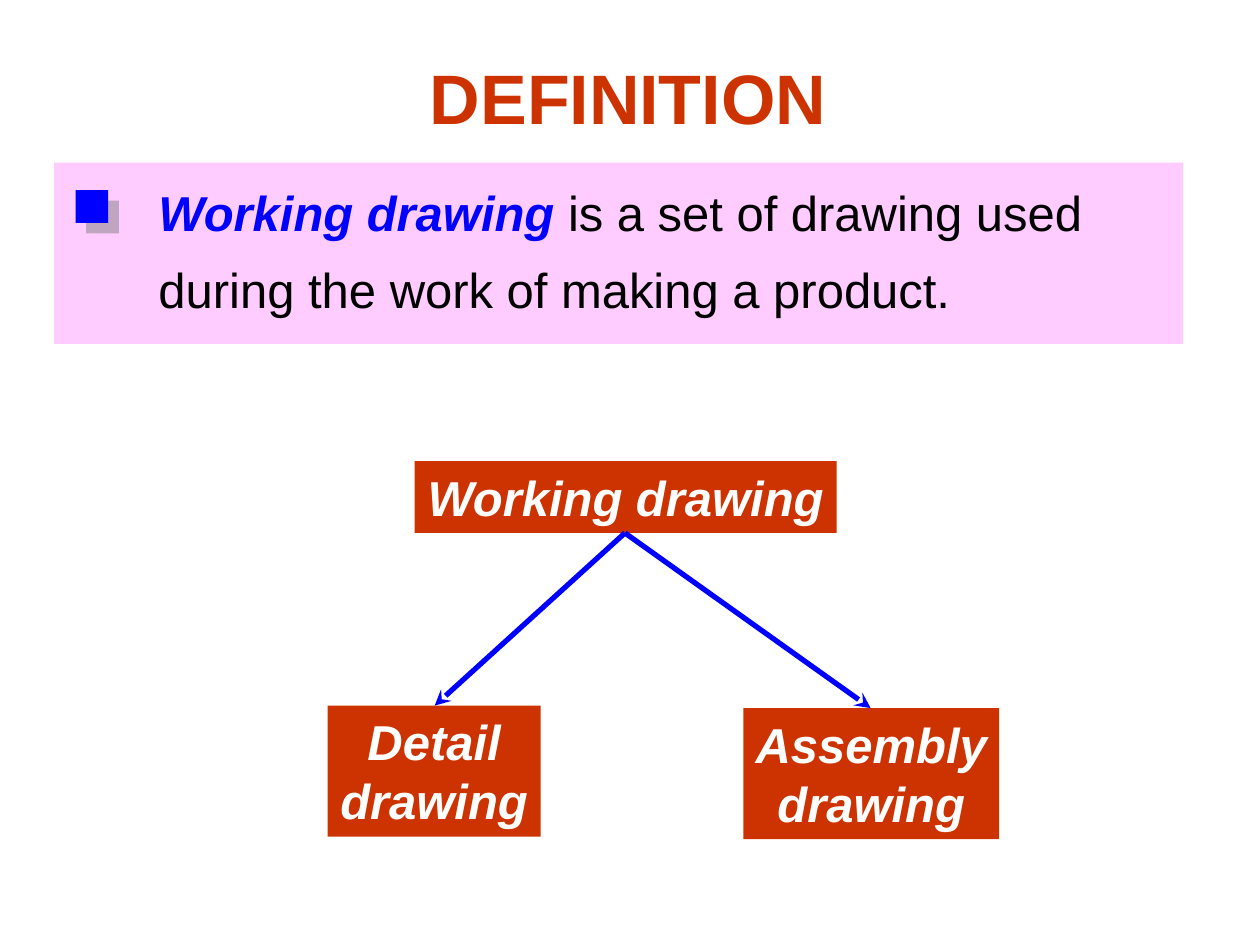
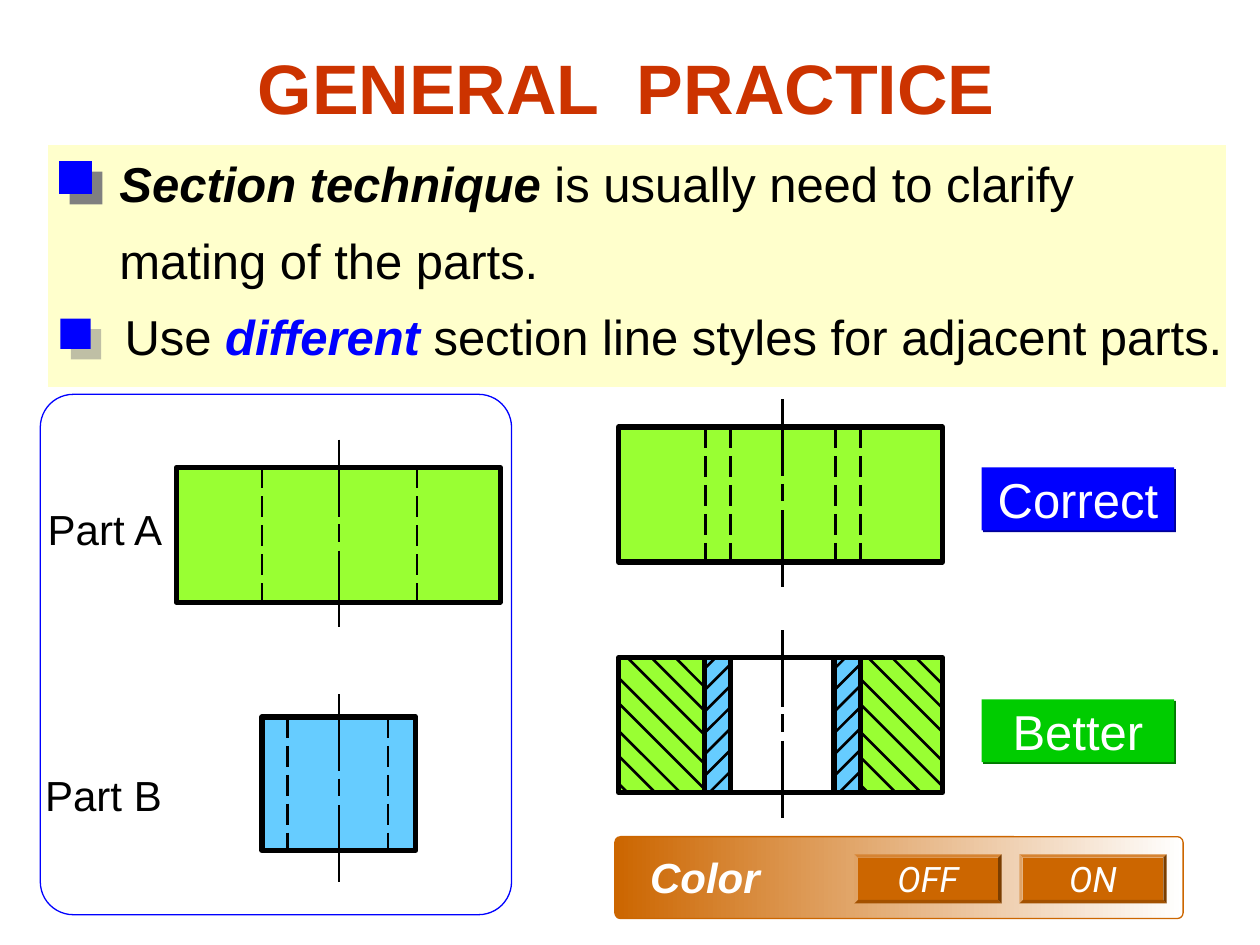
from lxml import etree
from pptx import Presentation
from pptx import util as u
from pptx.dml.color import RGBColor
from pptx.enum import dml, shapes, text
from pptx.oxml.ns import qn

PX = 9144  # EMU per px, 100 px to the inch

RUST = RGBColor(0xCC, 0x33, 0x00)
BLUE = RGBColor(0x00, 0x00, 0xFF)
NAVY = RGBColor(0x00, 0x00, 0x98)
PINK = RGBColor(0xFF, 0xCC, 0xFF)
CREAM = RGBColor(0xFF, 0xFF, 0xCC)
LIME = RGBColor(0x99, 0xFF, 0x33)
SKY = RGBColor(0x66, 0xCC, 0xFF)
GREEN = RGBColor(0x00, 0xCC, 0x00)
DARK_GREEN = RGBColor(0x00, 0x79, 0x00)
ORANGE = RGBColor(0xCC, 0x66, 0x00)
GRAY = RGBColor(0x80, 0x80, 0x80)
BLACK = RGBColor(0x00, 0x00, 0x00)
WHITE = RGBColor(0xFF, 0xFF, 0xFF)

# Text styles
TITLE = dict(name="Arial", size=u.Pt(40), bold=True, color=RUST)
BODY = dict(name="Arial", size=u.Pt(28), bold=False, italic=False, color=BLACK)
TERM = {**BODY, "bold": True, "italic": True}
BLUE_TERM = {**TERM, "color": BLUE}
NODE = {**TERM, "color": WHITE}
VERDICT = {**BODY, "color": WHITE}
PART_NAME = {**BODY, "size": u.Pt(24)}
SWITCH_NAME = {**NODE, "size": u.Pt(24)}
SWITCH = dict(name="Roboto", size=u.Pt(20), italic=True, color=WHITE)

LEFT, CENTER = text.PP_ALIGN.LEFT, text.PP_ALIGN.CENTER
TOP, MIDDLE = text.MSO_ANCHOR.TOP, text.MSO_ANCHOR.MIDDLE
RECT = shapes.MSO_SHAPE.RECTANGLE
ROUNDED = shapes.MSO_SHAPE.ROUNDED_RECTANGLE
BEVEL = shapes.MSO_SHAPE.BEVEL

# Section drawing: hatch offsets along the top edge of a zone
FALLING_HATCH = (45, 26, 7, -16, -36, -58, -78, -100)
RISING_HATCH = range(9, 112, 17)
CENTER_DASHES = ((0, 61), (67, 81), (88, 149))


def emu(*lengths):
    return [round(length * PX) for length in lengths]


def write(shape, lines, align=LEFT, anchor=TOP, spacing=None):
    """Fill a shape with lines, each a list of (words, style) runs."""
    frame = shape.text_frame
    settings = dict(word_wrap=False, auto_size=text.MSO_AUTO_SIZE.NONE, vertical_anchor=anchor)
    for key, value in settings.items():
        setattr(frame, key, value)
    for number, line in enumerate(lines):
        paragraph = frame.add_paragraph() if number else frame.paragraphs[0]
        paragraph.alignment = align
        paragraph.line_spacing = spacing
        for words, style in line:
            run = paragraph.add_run()
            run.text = words
            for key, value in style.items():
                if key == "color":
                    run.font.color.rgb = value
                else:
                    setattr(run.font, key, value)


def add_title_slide(deck, words, box):
    slide = deck.slides.add_slide(deck.slide_layouts[5])
    title = slide.shapes.title
    for key, value in zip(("left", "top", "width", "height"), emu(*box)):
        setattr(title, key, value)
    write(title, [[(words, TITLE)]], CENTER)
    return slide


def add_text(slide, box, lines, **layout):
    write(slide.shapes.add_textbox(*emu(*box)), lines, **layout)


def add_box(slide, box, fill=None, line=None, weight=0.75, kind=RECT, corner=None):
    shape = slide.shapes.add_shape(kind, *emu(*box))
    shape.shadow.inherit = False
    if corner is not None:
        shape.adjustments[0] = corner
    if fill is None:
        shape.fill.background()
    else:
        shape.fill.solid()
        shape.fill.fore_color.rgb = fill
    if line is None:
        shape.line.fill.background()
    else:
        shape.line.color.rgb = line
        shape.line.width = u.Pt(weight)
    return shape


def cast_shadow(shape, color, distance, opacity=100):
    effects = shape._element.spPr.find(qn("a:effectLst"))
    shadow = etree.SubElement(effects, qn("a:outerShdw"), dist=str(u.Pt(distance)),
                              dir="2700000", algn="ctr", rotWithShape="0")
    tint = etree.SubElement(shadow, qn("a:srgbClr"), val=str(color))
    etree.SubElement(tint, qn("a:alpha"), val=str(opacity * 1000))


def add_bullet(slide, left, top, side, opacity):
    bullet = add_box(slide, (left, top, side, side), BLUE)
    cast_shadow(bullet, GRAY, 8.5, opacity)


def add_line(slide, start, end, color=BLACK, weight=1.5, dash=None, arrow=False):
    line = slide.shapes.add_connector(shapes.MSO_CONNECTOR.STRAIGHT, *emu(*start, *end))
    line.line.color.rgb = color
    line.line.width = u.Pt(weight)
    if dash:
        line.line.dash_style = dash
    if arrow:
        etree.SubElement(line.line._get_or_add_ln(), qn("a:tailEnd"), type="stealth")
    etree.SubElement(line._element.spPr, qn("a:effectLst"))


def add_center_line(slide, x, top):
    for start, end in CENTER_DASHES:
        add_line(slide, (x, top + start), (x, top + end))


def add_part(slide, box, fill, hidden_edges, center):
    """Outside view of a part: body, hidden edges and centre line."""
    _, top, _, height = box
    add_box(slide, box, fill, BLACK, 3)
    for x in hidden_edges:
        add_line(slide, (x, top), (x, top + height), dash=dml.MSO_LINE.LONG_DASH)
    add_center_line(slide, *center)


def add_hatch(slide, box, offsets, slope):
    """45° lines clipped to a zone; slope 1 falls to the right, -1 rises."""
    left, top, width, height = box
    for offset in offsets:
        if slope > 0:
            ends = max(0, offset), min(width, height + offset)
        else:
            ends = max(0, offset - height), min(width, offset)
        start, end = [(left + x, top + slope * (x - offset)) for x in ends]
        add_line(slide, start, end)


def add_section(slide, left, top, height):
    """Cut view of the mated parts."""
    add_box(slide, (left, top, 257, height), LIME, BLACK, 3)
    add_box(slide, (left + 68, top, 124, height), SKY, BLACK, 3)
    add_box(slide, (left + 89, top, 82, height), WHITE, BLACK, 3)
    add_center_line(slide, left + 130, top - 22)
    for x in (171, 68):
        add_hatch(slide, (left + x, top, 21, height), RISING_HATCH, -1)
    for x, width in ((0, 68), (191, 66)):
        add_hatch(slide, (left + x, top, width, height), FALLING_HATCH, 1)


def build_definition(deck):
    slide = add_title_slide(deck, "DEFINITION", (193, 38, 611, 77))

    # Definition band
    add_box(slide, (43, 129, 896, 144), PINK)
    add_text(slide, (116, 126, 754, 132), [
        [("Working drawing", BLUE_TERM), (" is a set of drawing used", BODY)],
        [("during the work of making a product.", BODY)],
    ], spacing=1.3)
    add_bullet(slide, 60, 151, 26, 50)

    # Tree of drawing kinds
    tree = (
        ((329, 366, 335, 57), ["Working drawing"]),
        ((260, 560, 169, 104), ["Detail", "drawing"]),
        ((590, 562, 203, 104), ["Assembly", "drawing"]),
    )
    for box, words in tree:
        write(add_box(slide, box, RUST), [[(line, NODE)] for line in words], CENTER)
    for kind in ((345, 560), (691, 562)):
        add_line(slide, (496, 423), kind, BLUE, 3, arrow=True)


def build_practice(deck):
    slide = add_title_slide(deck, "GENERAL  PRACTICE", (194, 30, 606, 77))

    # Rules band
    add_box(slide, (38, 115, 936, 193), CREAM, WHITE)
    add_bullet(slide, 47, 128, 26, 100)
    add_text(slide, (85, 103, 777, 132), [
        [("Section technique", TERM), (" is usually need to clarify", BODY)],
        [("mating of the parts.", BODY)],
    ], spacing=1.3)
    add_bullet(slide, 48, 253, 24, 50)
    add_text(slide, (89, 224, 892, 71), [
        [("Use ", BODY), ("different", BLUE_TERM),
         (" section line styles for adjacent parts.", BODY)],
    ], spacing=1.3)

    # Separate parts
    add_box(slide, (32, 313, 374, 413), line=BLUE, kind=ROUNDED, corner=0.07)
    for name, left, top in (("Part A", 28, 395), ("Part B", 26, 606)):
        add_text(slide, (left, top, 112, 50), [[(name, PART_NAME)]])
    add_part(slide, (140, 371, 257, 107), LIME, (208, 331), (269, 349))
    add_part(slide, (208, 569, 122, 106), SKY, (228, 308), (269, 551))

    # Mated parts, outside and in section
    add_part(slide, (491, 339, 257, 107), LIME, (560, 580, 663, 683), (621, 317))
    add_section(slide, 491, 522, 107)
    verdicts = (("Correct", 371, BLUE, NAVY), ("Better", 555, GREEN, DARK_GREEN))
    for word, top, fill, shade in verdicts:
        verdict = add_box(slide, (779, top, 153, 50), fill)
        cast_shadow(verdict, shade, 1.4)
        write(verdict, [[(word, VERDICT)]], CENTER, MIDDLE)

    # Colour switch
    panel = add_box(slide, (488, 664, 451, 65), WHITE, ORANGE, kind=ROUNDED, corner=0.07)
    panel.fill.gradient()
    panel.fill.gradient_angle = 0
    for stop, color in zip(panel.fill.gradient_stops, (ORANGE, WHITE)):
        stop.color.rgb = color
    add_text(slide, (506, 671, 107, 50), [[("Color", SWITCH_NAME)]], align=CENTER)
    for state, left in (("OFF", 678), ("ON", 809)):
        button = add_box(slide, (left, 678, 117, 39), ORANGE, kind=BEVEL, corner=0.07)
        write(button, [[(state, SWITCH)]], CENTER, MIDDLE)


def main():
    deck = Presentation()
    deck.slide_width, deck.slide_height = emu(1000, 750)
    build_definition(deck)
    build_practice(deck)
    deck.save("out.pptx")


if __name__ == "__main__":
    main()
